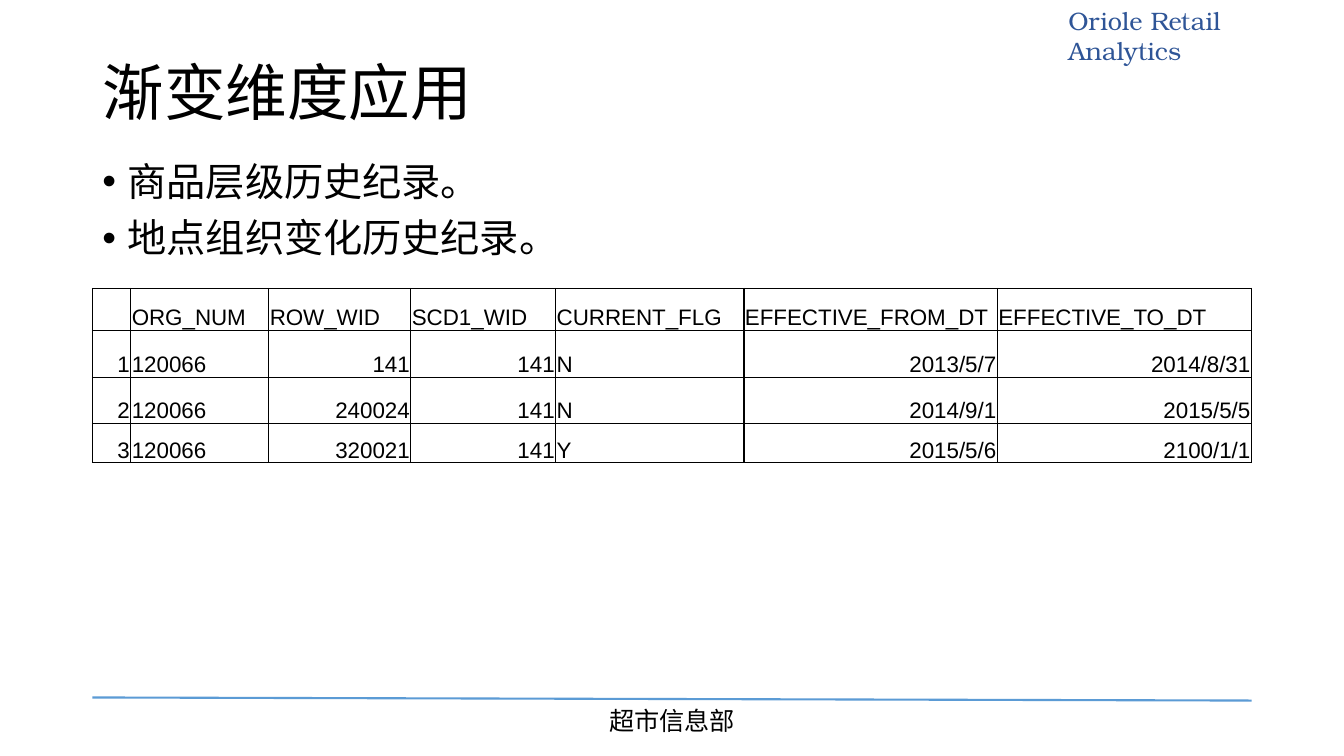
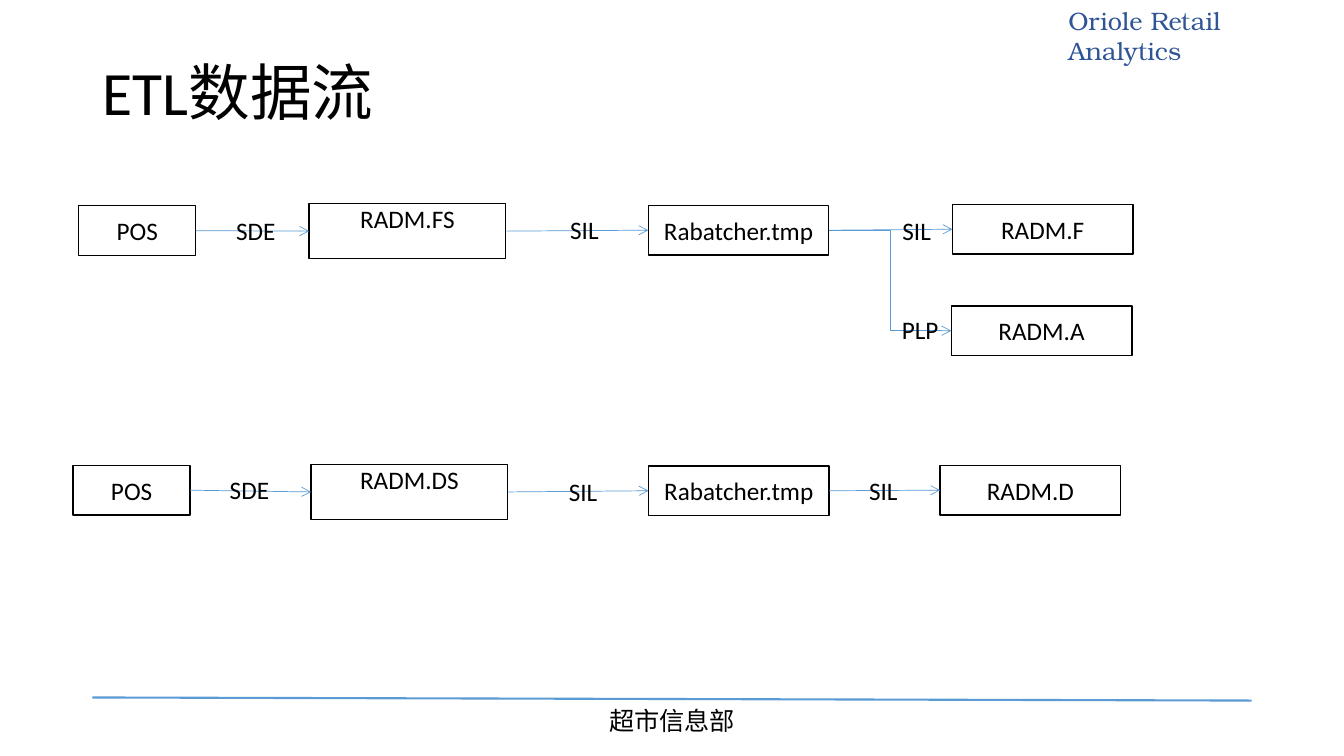
from dataclasses import dataclass

from lxml import etree
from pptx import Presentation
from pptx.dml.color import RGBColor
from pptx.enum.shapes import MSO_CONNECTOR as Link, MSO_SHAPE as Preset
from pptx.enum.text import MSO_ANCHOR as Anchor, MSO_AUTO_SIZE as AutoSize, PP_ALIGN as Align
from pptx.oxml.ns import qn
from pptx.util import Pt


@dataclass(frozen=True)
class Theme:
    ink: RGBColor = RGBColor(0, 0, 0)
    paper: RGBColor = RGBColor(255, 255, 255)
    rule: RGBColor = RGBColor(0x5B, 0x9B, 0xD5)
    brand: RGBColor = RGBColor(0x2F, 0x55, 0x97)
    font: str = "Calibri"
    table_font: str = "Arial"
    footer_font: str = "Noto Sans CJK SC"
    brand_font: str = "TeX Gyre Bonum"
    title_size: float = 44
    body_size: float = 28
    text_size: float = 18
    table_size: float = 16


THEME = Theme()

# Content
SLIDE_SIZE = (960, 540)
LEFT, CONTENT_WIDTH = 66, 828
FOOTER = "超市信息部"
HEADER = "Oriole Retail Analytics"

HISTORY_TITLE = "渐变维度应用"
HISTORY_POINTS = ["商品层级历史纪录。", "地点组织变化历史纪录。"]
HISTORY_ROWS = [
    ("", "ORG_NUM", "ROW_WID", "SCD1_WID", "CURRENT_FLG", "EFFECTIVE_FROM_DT", "EFFECTIVE_TO_DT"),
    ("1", "120066", "141", "141", "N", "2013/5/7", "2014/8/31"),
    ("2", "120066", "240024", "141", "N", "2014/9/1", "2015/5/5"),
    ("3", "120066", "320021", "141", "Y", "2015/5/6", "2100/1/1"),
]
COLUMN_WIDTHS = [27.4, 98.6, 101.5, 103.5, 134.5, 181, 181.5]
ROW_HEIGHTS = [30.2, 33.6, 32.6, 28.2]
TEXT_COLUMNS = {"ORG_NUM", "CURRENT_FLG"}

FLOW_TITLE = "ETL数据流"
# Stage kind: width, height, text at the top
STAGE_KINDS = {
    "source": (83.5, 35.5, False),
    "staging": (140.5, 39.2, True),
    "target": (129, 35.5, False),
}
# Stage key: text, kind, left, top
STAGES = {
    "fact source": ("POS", "source", 56.3, 147),
    "fact staging": ("RADM.FS", "staging", 220.8, 145.5),
    "fact batch": ("Rabatcher.tmp", "target", 463, 146.7),
    "fact": ("RADM.F", "target", 680.3, 146),
    "aggregate": ("RADM.A", "target", 679.5, 218.5),
    "dim source": ("POS", "source", 52.3, 332.4),
    "dim staging": ("RADM.DS", "staging", 222.2, 331.8),
    "dim batch": ("Rabatcher.tmp", "target", 463.2, 332.8),
    "dim": ("RADM.D", "target", 671.5, 332.4),
}
# From, to, label, label centre x and y
FLOWS = [
    ("fact source", "fact staging", "SDE", 182.7, 165),
    ("fact staging", "fact batch", "SIL", 417.5, 164.3),
    ("fact batch", "fact", "SIL", 654.8, 165),
    ("fact batch", "aggregate", "PLP", 657.3, 235.6),
    ("dim source", "dim staging", "SDE", 178.2, 350),
    ("dim staging", "dim batch", "SIL", 416.5, 351),
    ("dim batch", "dim", "SIL", 631, 350.6),
]
LABEL_SIZE = (44, 29)


def place(shape, left, top, width, height):
    shape.left, shape.top, shape.width, shape.height = map(Pt, (left, top, width, height))


def style(paragraph, size, font=THEME.font, color=THEME.ink, align=Align.LEFT):
    paragraph.alignment = align
    paragraph.font.size = Pt(size)
    paragraph.font.name = font
    paragraph.font.color.rgb = color


def add_text(slide, text, left, top, width, height, wrap=True, **look):
    frame = slide.shapes.add_textbox(*map(Pt, (left, top, width, height))).text_frame
    frame.word_wrap = wrap
    frame.text = text
    style(frame.paragraphs[0], THEME.text_size, **look)


def add_line(slide, kind, start, end, width):
    line = slide.shapes.add_connector(kind, *map(Pt, (*start, *end)))
    line.line.color.rgb = THEME.rule
    line.line.width = Pt(width)
    etree.SubElement(line._element.spPr, qn("a:effectLst"))
    return line


def new_slide(deck, layout, title):
    """Add a slide with the shared title, rule, footer and header."""
    slide = deck.slides.add_slide(deck.slide_layouts.get_by_name(layout))
    heading = slide.shapes.title
    place(heading, LEFT, 36.5, CONTENT_WIDTH, 64)
    frame = heading.text_frame
    frame.text = title
    frame.auto_size = AutoSize.NONE
    frame.vertical_anchor = Anchor.MIDDLE
    frame.paragraphs[0].line_spacing = 0.9
    style(frame.paragraphs[0], THEME.title_size)

    add_line(slide, Link.STRAIGHT, (LEFT, 498.2), (LEFT + CONTENT_WIDTH, 500.4), 1.5)
    add_text(slide, FOOTER, 403, 500.4, 154, 29, font=THEME.footer_font, align=Align.CENTER)
    add_text(slide, HEADER, 756, 0, 204, 29, font=THEME.brand_font, color=THEME.brand)
    return slide


def add_borders(cell):
    properties = cell._tc.get_or_add_tcPr()
    for index, side in enumerate(("lnL", "lnR", "lnT", "lnB")):
        border = etree.Element(qn(f"a:{side}"), w=str(Pt(1)))
        fill = etree.SubElement(border, qn("a:solidFill"))
        etree.SubElement(fill, qn("a:srgbClr"), val=str(THEME.ink))
        properties.insert(index, border)


def add_history_table(slide):
    headings = HISTORY_ROWS[0]
    frame = slide.shapes.add_table(
        len(HISTORY_ROWS), len(headings), Pt(LEFT), Pt(206),
        Pt(sum(COLUMN_WIDTHS)), Pt(sum(ROW_HEIGHTS)))
    table = frame.table
    table.first_row = table.horz_banding = False
    for column, width in zip(table.columns, COLUMN_WIDTHS):
        column.width = Pt(width)
    for row, height in zip(table.rows, ROW_HEIGHTS):
        row.height = Pt(height)
    for r, values in enumerate(HISTORY_ROWS):
        for c, value in enumerate(values):
            cell = table.cell(r, c)
            cell.text = value
            cell.fill.background()
            cell.vertical_anchor = Anchor.BOTTOM
            cell.margin_left = cell.margin_right = cell.margin_top = Pt(0.75)
            cell.margin_bottom = 0
            left_aligned = r == 0 or headings[c] in TEXT_COLUMNS
            style(cell.text_frame.paragraphs[0], THEME.table_size, THEME.table_font,
                  align=Align.LEFT if left_aligned else Align.RIGHT)
            add_borders(cell)


def build_history(deck):
    slide = new_slide(deck, "Title and Content", HISTORY_TITLE)
    points = slide.placeholders[1]
    place(points, LEFT, 112.5, CONTENT_WIDTH, 83)
    frame = points.text_frame
    frame.text = "\n".join(HISTORY_POINTS)
    frame.auto_size = AutoSize.NONE
    for index, paragraph in enumerate(frame.paragraphs):
        properties = paragraph._p.get_or_add_pPr()
        properties.set("marL", str(Pt(18)))
        properties.set("indent", str(-Pt(18)))
        etree.SubElement(properties, qn("a:buChar"), char="•")
        paragraph.line_spacing = 0.9
        paragraph.space_before = Pt(10 if index else 0)
        style(paragraph, THEME.body_size)
    add_history_table(slide)


def add_stage(slide, text, kind, left, top):
    width, height, text_at_top = STAGE_KINDS[kind]
    stage = slide.shapes.add_shape(Preset.RECTANGLE, *map(Pt, (left, top, width, height)))
    stage.shadow.inherit = False
    stage.fill.solid()
    stage.fill.fore_color.rgb = THEME.paper
    stage.line.color.rgb = THEME.ink
    stage.line.width = Pt(1)
    frame = stage.text_frame
    frame.word_wrap = True
    frame.text = text
    frame.vertical_anchor = Anchor.TOP if text_at_top else Anchor.MIDDLE
    if text_at_top:
        frame.margin_top = 0
    style(frame.paragraphs[0], THEME.text_size, align=Align.CENTER)
    return stage


def build_flow(deck):
    slide = new_slide(deck, "Title Only", FLOW_TITLE)
    stages = {key: add_stage(slide, *stage) for key, stage in STAGES.items()}
    # Arrows leave on the right and arrive on the left
    for start, end, *_ in FLOWS:
        kind = Link.ELBOW if end == "aggregate" else Link.STRAIGHT
        arrow = add_line(slide, kind, (0, 0), (0, 0), 0.5)
        arrow.begin_connect(stages[start], 3)
        arrow.end_connect(stages[end], 1)
        etree.SubElement(arrow.line._get_or_add_ln(), qn("a:tailEnd"), type="arrow")
    # Labels over the arrows
    width, height = LABEL_SIZE
    for _, _, label, x, y in FLOWS:
        add_text(slide, label, x - width / 2, y - height / 2, width, height,
                 wrap=False, align=Align.CENTER)


def main():
    deck = Presentation()
    deck.slide_width, deck.slide_height = map(Pt, SLIDE_SIZE)
    build_history(deck)
    build_flow(deck)
    deck.save("out.pptx")


if __name__ == "__main__":
    main()
